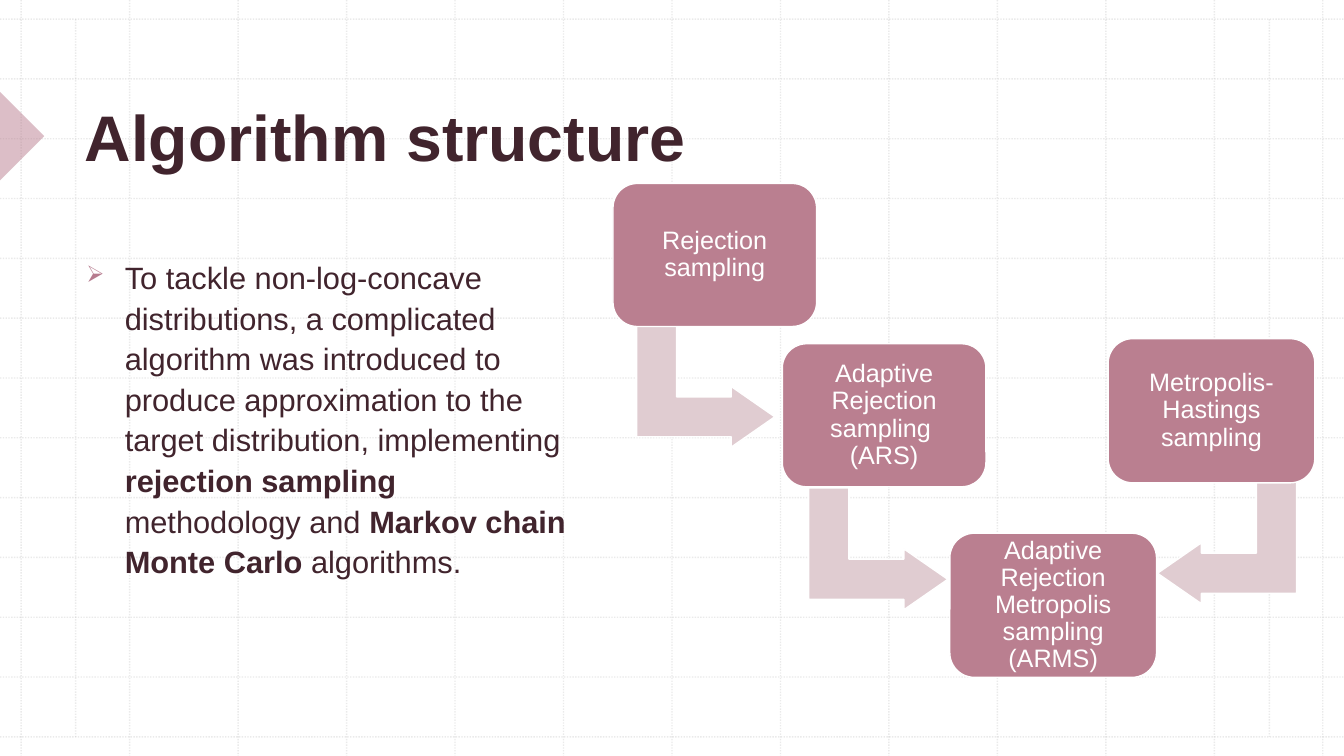
from lxml.etree import SubElement
from pptx import Presentation
from pptx.dml.color import RGBColor
from pptx.enum.dml import MSO_LINE
from pptx.enum.shapes import MSO_CONNECTOR, MSO_SHAPE
from pptx.enum.text import MSO_ANCHOR, PP_ALIGN
from pptx.oxml.ns import qn
from pptx.util import Inches, Pt

SLIDE_WIDTH, SLIDE_HEIGHT = Inches(13.33), Inches(7.5)
FONT = "Arial"
PLUM = RGBColor(0x41, 0x24, 0x2D)
ROSE = RGBColor(0xBA, 0x7F, 0x90)
PALE_ROSE = RGBColor(0xE0, 0xCC, 0xD1)
BULLET_ROSE = RGBColor(0xB6, 0x7B, 0x8E)
GRID_GREY = RGBColor(0xBC, 0xBC, 0xBC)
WHITE = RGBColor(0xFF, 0xFF, 0xFF)

GRID_GAPS = 12
GRID_LEFT, GRID_RIGHT = Inches(0.21), Inches(13.12)
GRID_TOP, GRID_BOTTOM = Inches(0.19), Inches(7.31)

STEPS = [
    ("Rejection sampling", (45.61, 24.27, 15.15, 18.93)),
    ("Adaptive Rejection sampling \n(ARS)", (58.21, 45.47, 15.15, 18.93)),
    ("Metropolis-Hastings sampling", (82.45, 44.8, 15.38, 19.07)),
    ("Adaptive Rejection Metropolis sampling (ARMS)", (70.67, 70.53, 15.38, 19.07)),
]
ARROWS = [
    (MSO_SHAPE.BENT_UP_ARROW, (48.01, 42, 9, 18.27), 90, False),
    (MSO_SHAPE.BENT_ARROW, (86.12, 63.73, 10.35, 16.13), 180, False),
    (MSO_SHAPE.BENT_ARROW, (60.17, 64.53, 10.35, 16.13), 180, True),
]
EXPLANATION = [
    ("To tackle non-log-concave distributions, a complicated algorithm was introduced "
     "to produce approximation to the target distribution, implementing ", False),
    ("rejection sampling", True),
    (" methodology and ", False),
    ("Markov chain Monte Carlo ", True),
    ("algorithms.", False),
]


def place(left, top, width, height):
    """Turn percentages of the slide into a left, top, width and height."""
    return (int(SLIDE_WIDTH * left / 100), int(SLIDE_HEIGHT * top / 100),
            int(SLIDE_WIDTH * width / 100), int(SLIDE_HEIGHT * height / 100))


def set_opacity(element, percent):
    """Make every colour inside the element partly transparent."""
    for colour in element.iter(qn("a:srgbClr")):
        SubElement(colour, qn("a:alpha")).set("val", str(percent * 1000))


def format_run(run, size, colour, bold=False):
    """Apply the slide's font to a run."""
    run.font.name = FONT
    run.font.size = Pt(size)
    run.font.color.rgb = colour
    run.font.bold = bold


def add_grid_line(slide, start, end):
    """Draw one faint dotted line."""
    grid_line = slide.shapes.add_connector(MSO_CONNECTOR.STRAIGHT, *start, *end)
    grid_line.line.color.rgb = GRID_GREY
    grid_line.line.width = Pt(1)
    grid_line.line.dash_style = MSO_LINE.ROUND_DOT
    properties = grid_line.element.spPr
    set_opacity(properties, 30)
    SubElement(properties, qn("a:effectLst"))


def add_grid(slide):
    """Draw the evenly spaced background grid and its two inner margins."""
    for index in range(GRID_GAPS + 1):
        column = GRID_LEFT + (GRID_RIGHT - GRID_LEFT) * index // GRID_GAPS
        row = GRID_TOP + (GRID_BOTTOM - GRID_TOP) * index // GRID_GAPS
        add_grid_line(slide, (column, 0), (column, SLIDE_HEIGHT))
        add_grid_line(slide, (0, row), (SLIDE_WIDTH, row))
    for margin in (Inches(0.75), Inches(12.59)):
        add_grid_line(slide, (margin, GRID_TOP), (margin, GRID_BOTTOM))


def add_filled_shape(slide, preset, bounds, fill, rotation=0):
    """Add a flat preset shape with a thin white outline."""
    shape = slide.shapes.add_shape(preset, *place(*bounds))
    shape.shadow.inherit = False
    shape.fill.solid()
    shape.fill.fore_color.rgb = fill
    shape.line.color.rgb = WHITE
    shape.line.width = Pt(1)
    shape.rotation = rotation
    return shape


def add_marker(slide):
    """Add the translucent pointer at the left edge."""
    marker = add_filled_shape(slide, MSO_SHAPE.RIGHT_TRIANGLE,
                              (-2.33, 13.87, 4.65, 8.27), ROSE, 225)
    marker.line.fill.background()
    set_opacity(marker.element.spPr, 50)


def add_title(slide, wording):
    """Place the title above the grid and format it."""
    title = slide.shapes.title
    title.element.getparent().append(title.element)
    title.left, title.top, title.width, title.height = place(5.55, 3.47, 86.12, 20.4)
    frame = title.text_frame
    frame.text = wording
    frame.vertical_anchor = MSO_ANCHOR.BOTTOM
    heading = frame.paragraphs[0]
    heading.alignment = PP_ALIGN.LEFT
    heading.line_spacing = 0.9
    format_run(heading.runs[0], 46, PLUM, True)


def add_arrow(slide, preset, bounds, rotation, flipped):
    """Add a bent arrow between two steps."""
    arrow = add_filled_shape(slide, preset, bounds, PALE_ROSE, rotation)
    for index, share in enumerate((0.33, 0.25, 0.36, 0)[:len(arrow.adjustments)]):
        arrow.adjustments[index] = share
    if flipped:
        arrow.element.spPr.get_or_add_xfrm().set("flipH", "1")


def add_step(slide, wording, bounds):
    """Add a rounded box naming one sampling method."""
    step = add_filled_shape(slide, MSO_SHAPE.ROUNDED_RECTANGLE, bounds, ROSE)
    step.adjustments[0] = 0.17
    frame = step.text_frame
    frame.word_wrap = True
    frame.vertical_anchor = MSO_ANCHOR.MIDDLE
    frame.margin_left = frame.margin_right = Inches(0.07)
    frame.margin_top = frame.margin_bottom = Inches(0.07)
    label = frame.paragraphs[0]
    label.text = wording
    label.alignment = PP_ALIGN.CENTER
    label.line_spacing = 0.9
    for run in label.runs:
        format_run(run, 18, WHITE)


def add_bullet(paragraph):
    """Give the paragraph a coloured arrowhead bullet and a hanging indent."""
    properties = paragraph._p.get_or_add_pPr()
    properties.set("marL", str(Inches(0.38)))
    properties.set("indent", str(-Inches(0.38)))
    colour = SubElement(properties, qn("a:buClr"))
    SubElement(colour, qn("a:srgbClr")).set("val", str(BULLET_ROSE))
    SubElement(properties, qn("a:buSzPct")).set("val", "75000")
    SubElement(properties, qn("a:buChar")).set("char", "➢")


def add_explanation(slide, phrases):
    """Add the bulleted paragraph with its bold phrases."""
    frame = slide.shapes.add_textbox(*place(5.7, 33.07, 37.51, 55.33)).text_frame
    frame.word_wrap = True
    explanation = frame.paragraphs[0]
    explanation.line_spacing = 1.1
    explanation.space_before = Pt(10)
    add_bullet(explanation)
    for wording, bold in phrases:
        run = explanation.add_run()
        run.text = wording
        format_run(run, 22, PLUM, bold)


def main():
    """Build the slide and save it."""
    presentation = Presentation()
    presentation.slide_width, presentation.slide_height = SLIDE_WIDTH, SLIDE_HEIGHT
    slide = presentation.slides.add_slide(presentation.slide_layouts[5])
    add_grid(slide)
    add_title(slide, "Algorithm structure")
    add_marker(slide)
    for arrow in ARROWS:
        add_arrow(slide, *arrow)
    for wording, bounds in STEPS:
        add_step(slide, wording, bounds)
    add_explanation(slide, EXPLANATION)
    presentation.save("out.pptx")


if __name__ == "__main__":
    main()
